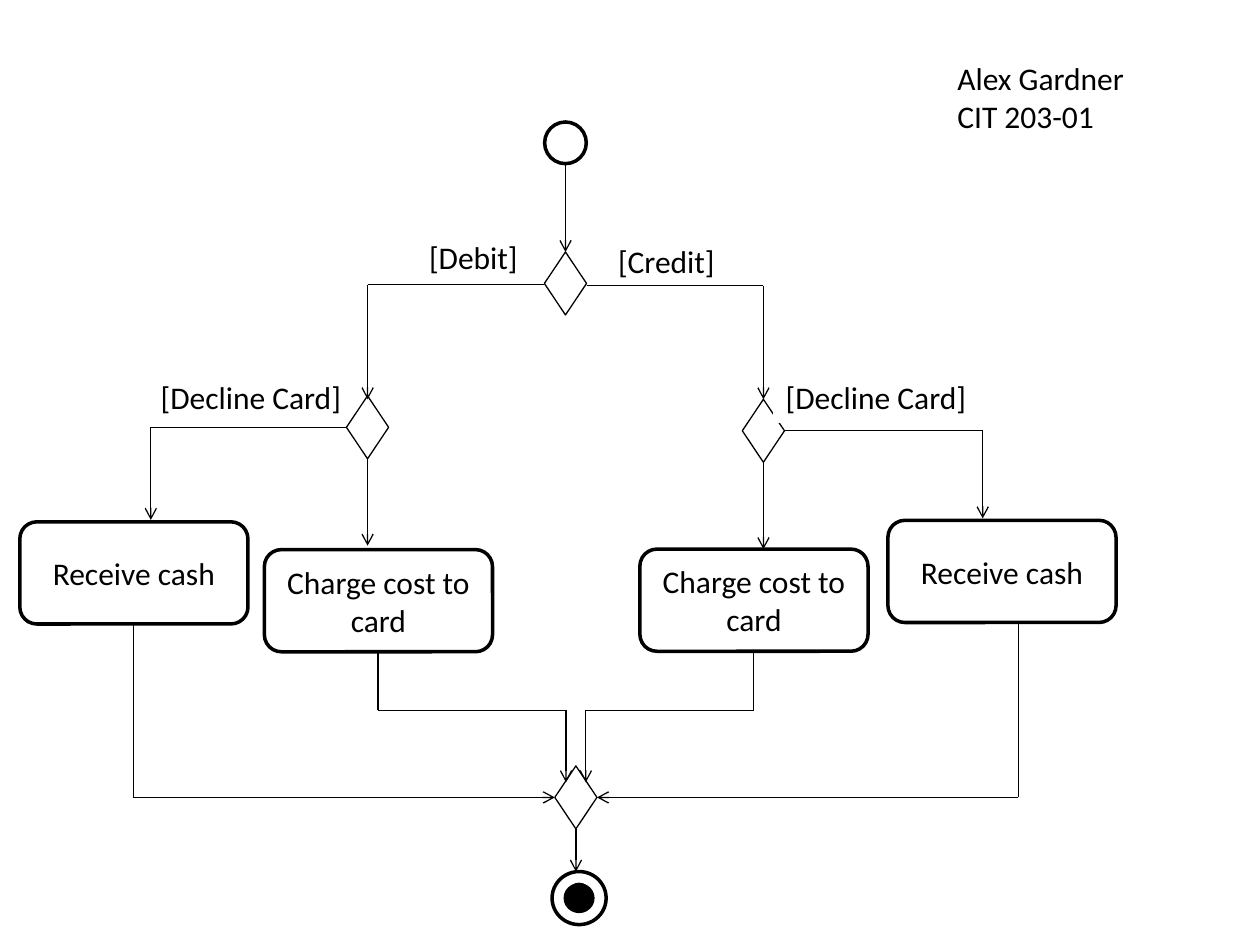
from dataclasses import dataclass
from itertools import pairwise
from lxml.etree import SubElement
from pptx import Presentation
from pptx.dml.color import RGBColor
from pptx.enum.shapes import MSO_CONNECTOR, MSO_SHAPE
from pptx.enum.text import MSO_ANCHOR, MSO_AUTO_SIZE, PP_ALIGN
from pptx.oxml.ns import qn
from pptx.util import Cm, Pt


@dataclass(frozen=True)
class Theme:
    ink: RGBColor = RGBColor(0, 0, 0)
    paper: RGBColor = RGBColor(255, 255, 255)
    font: str = "Calibri"
    text: Pt = Pt(18)
    thin: Pt = Pt(0.75)
    thick: Pt = Pt(2)


THEME = Theme()
DECISION_W, DECISION_H = 0.85, 1.27
HALF_W, HALF_H = DECISION_W / 2, DECISION_H / 2
ACTIVITY_W, ACTIVITY_H = 4.6, 2.06
LABEL_H = 1.02


def write(frame, text, align=PP_ALIGN.LEFT):
    frame.text = text
    for paragraph in frame.paragraphs:
        paragraph.alignment = align
        for run in paragraph.runs:
            run.font.name = THEME.font
            run.font.size = THEME.text
            run.font.color.rgb = THEME.ink


def node(slide, kind, x, y, width, height, fill=THEME.paper, line=THEME.ink, weight=THEME.thick):
    outline = slide.shapes.add_shape(kind, Cm(x), Cm(y), Cm(width), Cm(height))
    outline.shadow.inherit = False
    if fill is None:
        outline.fill.background()
    else:
        outline.fill.solid()
        outline.fill.fore_color.rgb = fill
    outline.line.color.rgb = line
    outline.line.width = weight
    return outline


def decision(slide, x, y):
    node(slide, MSO_SHAPE.DIAMOND, x - HALF_W, y, DECISION_W, DECISION_H,
         fill=None, weight=THEME.thin)


def activity(slide, x, y, text):
    step = node(slide, MSO_SHAPE.ROUNDED_RECTANGLE, x, y, ACTIVITY_W, ACTIVITY_H)
    step.text_frame.vertical_anchor = MSO_ANCHOR.MIDDLE
    write(step.text_frame, text, PP_ALIGN.CENTER)


def guard(slide, x, y, width, text):
    condition = node(slide, MSO_SHAPE.RECTANGLE, x, y, width, LABEL_H,
                     line=THEME.paper, weight=THEME.thin)
    condition.text_frame.vertical_anchor = MSO_ANCHOR.TOP
    condition.text_frame.word_wrap = False
    condition.text_frame.auto_size = MSO_AUTO_SIZE.SHAPE_TO_FIT_TEXT
    write(condition.text_frame, text)


def flow(slide, *points):
    for (x1, y1), (x2, y2) in pairwise(points):
        leg = slide.shapes.add_connector(MSO_CONNECTOR.STRAIGHT, Cm(x1), Cm(y1), Cm(x2), Cm(y2))
        leg.line.color.rgb = THEME.ink
        leg.line.width = THEME.thin
        SubElement(leg._element.spPr, qn("a:effectLst"))
    SubElement(leg.line._get_or_add_ln(), qn("a:tailEnd"), type="arrow")


def author(slide, x, y):
    credit = slide.shapes.add_textbox(Cm(x), Cm(y), Cm(3.91), Cm(1.8))
    credit.text_frame.word_wrap = False
    credit.text_frame.auto_size = MSO_AUTO_SIZE.SHAPE_TO_FIT_TEXT
    write(credit.text_frame, "Alex Gardner\nCIT 203-01")


def payment_choice(slide, x, y):
    diameter, choice_top, reach, bottom = 0.84, 2.62, 3.99, 5.59
    node(slide, MSO_SHAPE.FLOWCHART_CONNECTOR, x - diameter / 2, y, diameter, diameter)
    flow(slide, (x, y + diameter), (x, y + choice_top))
    decision(slide, x, y + choice_top)
    guard(slide, x - 3, y + 2.21, 2.31, "[Debit]")
    guard(slide, x + 0.81, y + 2.29, 2.49, "[Credit]")
    for side, arm in ((-1, 3.28), (1, 3.3)):
        flow(slide, (x + side * HALF_W, y + arm), (x + side * reach, y + arm),
             (x + side * reach, y + bottom))


def card_branch(slide, x, y, side, label, turn, cash, charge):
    label_x, label_y = label
    cash_x, cash_y = cash
    charge_x, charge_y = charge
    if side > 0:
        decision(slide, x, y)
    guard(slide, x + label_x, y + label_y, 4.19, "[Decline Card]")
    if side < 0:
        decision(slide, x, y)
    flow(slide, (x, y + DECISION_H), (x, y + 3.02))
    flow(slide, (x + side * HALF_W, y + HALF_H), (x + side * turn, y + HALF_H),
         (x + side * turn, y + cash_y - 0.04))
    activity(slide, x + charge_x, y + charge_y, "Charge cost to card")
    activity(slide, x + cash_x, y + cash_y, "Receive cash")


def merge(slide, x, y):
    finish = 2.13
    for side, charge in ((-1, 3.99), (1, 3.58)):
        flow(slide, (x + side * 8.92, y - 2.87), (x + side * 8.92, y + HALF_H),
             (x + side * HALF_W, y + HALF_H))
        flow(slide, (x + side * charge, y - 2.31), (x + side * charge, y - 1.12),
             (x + side * 0.2, y - 1.12), (x + side * 0.2, y + 0.33))
    decision(slide, x, y)
    flow(slide, (x, y + DECISION_H), (x, y + finish))
    node(slide, MSO_SHAPE.DONUT, x - 0.48, y + finish, 1.09, 1.07)
    node(slide, MSO_SHAPE.FLOWCHART_CONNECTOR, x - 0.15, y + finish + 0.26, 0.43, 0.53,
         fill=THEME.ink)


deck = Presentation()
deck.slide_width, deck.slide_height = Cm(25.4), Cm(19.05)
page = deck.slides.add_slide(deck.slide_layouts[6])
payment_choice(page, 11.4, 2.46)
card_branch(page, 7.41, 7.98, -1, label=(-4.42, -0.48), turn=4.37,
            cash=(-7.01, 2.54), charge=(-2.08, 3.1))
card_branch(page, 15.39, 8.05, 1, label=(0.2, -0.56), turn=4.42,
            cash=(2.51, 2.44), charge=(-2.49, 3.02))
merge(page, 11.61, 15.44)
author(page, 19.05, 1.07)
deck.save("out.pptx")
